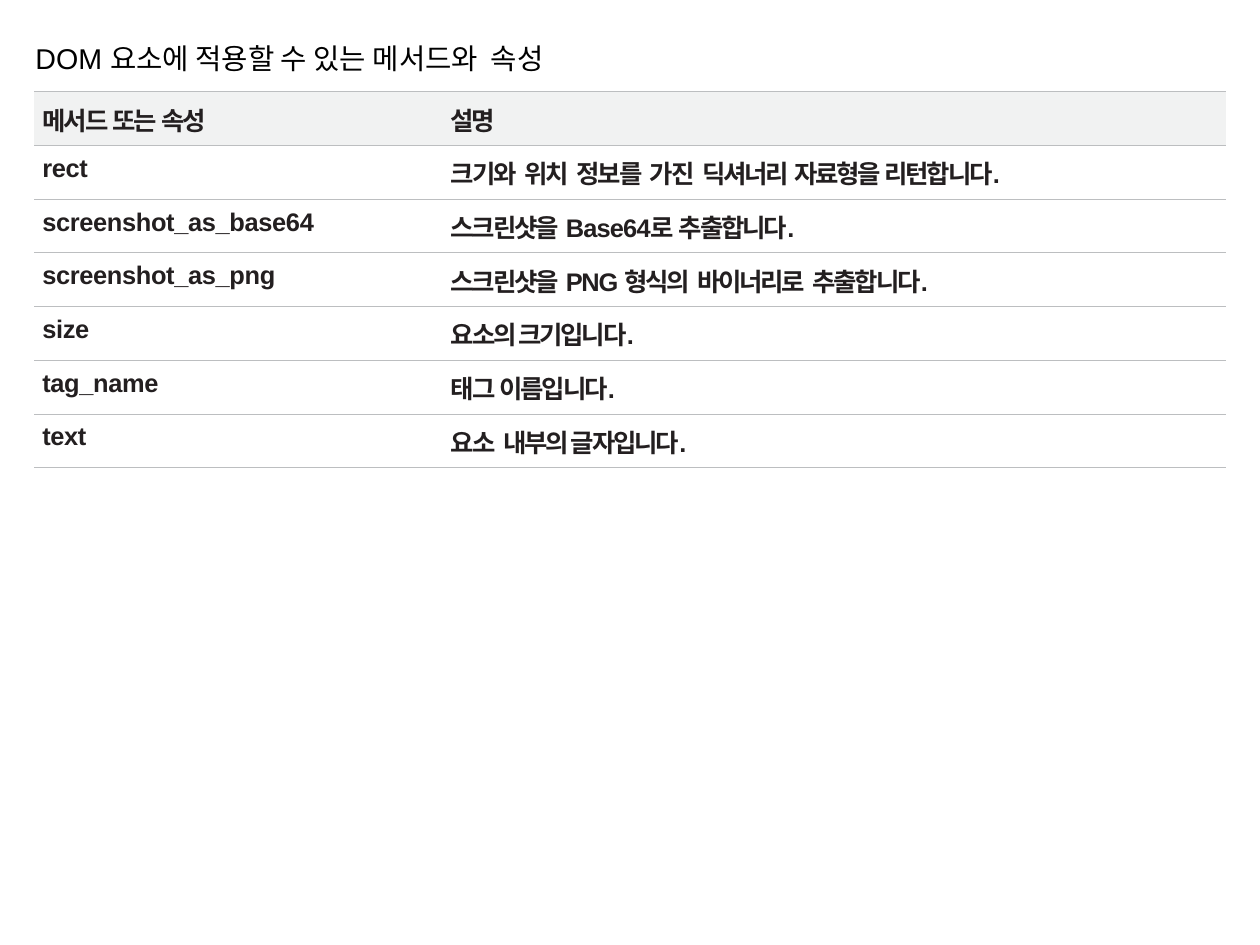
from dataclasses import dataclass

from lxml.etree import SubElement
from pptx import Presentation
from pptx.dml.color import RGBColor
from pptx.enum.text import MSO_ANCHOR, MSO_AUTO_SIZE, PP_ALIGN
from pptx.oxml.ns import qn
from pptx.util import Inches, Pt

TITLE = "DOM 요소에 적용할 수 있는 메서드와  속성"

# Each cell is a list of (text, letter spacing in points).
HEADER = (
    [("메서드 ", -1.2), ("또는 ", -1.1), ("속성", -1.4)],
    [("설명", -1.4)],
)
MEMBERS = {
    "rect": [("크기와  ", -1.3), ("위치  ", -1.2), ("정보를  ", -1.3), ("가진  ", -1.2),
             ("딕셔너리  자료형을 ", -1.4), ("리턴합니다.", -1.3)],
    "screenshot_as_base64": [("스크린샷을  ", -1.4), ("Base64로 ", -0.5), ("추출합니다.", -1.3)],
    "screenshot_as_png": [("스크린샷을  ", -1.4), ("PNG ", -0.8), ("형식의  ", -1.3),
                          ("바이너리로  ", -1.4), ("추출합니다.", -1.3)],
    "size": [("요소의 크기입니다.", -1.3)],
    "tag_name": [("태그 ", -1.2), ("이름입니다.", -1.3)],
    "text": [("요소  ", -1.2), ("내부의 글자입니다.", -1.3)],
}
NAME_SPACING = -0.2

LEFT, WIDTH = 0.3, 10.42
TITLE_TOP, TITLE_HEIGHT = 0.21, 0.4
TABLE_TOP, ROW_HEIGHT = 0.8, 0.47
COLUMN_WIDTHS = (3.36, 7.05)
COLUMN_INDENTS = (0.07, 0.28)


@dataclass(frozen=True)
class Theme:
    font: str = "Arial"
    title_size: int = 18
    table_size: int = 16
    title_color: str = "000000"
    text_color: str = "231F20"
    header_fill: str = "F1F2F2"
    rule_color: str = "BCBEC0"
    rule_width: float = 0.5


THEME = Theme()


def format_font(font, size, color, bold):
    for name, value in {"name": THEME.font, "size": Pt(size), "bold": bold}.items():
        setattr(font, name, value)
    font.color.rgb = RGBColor.from_string(color)


def set_frame(target, values):
    for name, value in values.items():
        setattr(target, name, value)


def add_title(slide):
    title = slide.shapes.title
    set_frame(title, {"left": Inches(LEFT), "top": Inches(TITLE_TOP),
                      "width": Inches(WIDTH), "height": Inches(TITLE_HEIGHT)})
    frame = title.text_frame
    set_frame(frame, {"margin_left": Inches(0.01), "margin_right": 0, "margin_top": 0,
                      "margin_bottom": 0, "vertical_anchor": MSO_ANCHOR.TOP,
                      "word_wrap": True, "auto_size": MSO_AUTO_SIZE.NONE})
    paragraph = frame.paragraphs[0]
    set_frame(paragraph, {"alignment": PP_ALIGN.JUSTIFY, "line_spacing": 1.5})
    run = paragraph.add_run()
    run.text = TITLE
    format_font(run.font, THEME.title_size, THEME.title_color, False)


def set_borders(cell):
    """Rule the top and bottom of a cell and leave its sides open."""
    properties = cell._tc.get_or_add_tcPr()
    for position, side in enumerate(("lnL", "lnR", "lnT", "lnB")):
        line = SubElement(properties, qn(f"a:{side}"))
        properties.insert(position, line)
        if side in ("lnT", "lnB"):
            line.set("w", str(Pt(THEME.rule_width)))
            fill = SubElement(line, qn("a:solidFill"))
            SubElement(fill, qn("a:srgbClr")).set("val", THEME.rule_color)
        else:
            SubElement(line, qn("a:noFill"))


def fill_cell(cell, pieces, indent, is_header):
    set_frame(cell, {"margin_left": Inches(indent), "margin_right": 0,
                     "margin_top": Inches(0.08), "margin_bottom": 0,
                     "vertical_anchor": MSO_ANCHOR.TOP})
    if is_header:
        cell.fill.solid()
        cell.fill.fore_color.rgb = RGBColor.from_string(THEME.header_fill)
    else:
        cell.fill.background()
    set_borders(cell)
    paragraph = cell.text_frame.paragraphs[0]
    paragraph.space_before = Pt(3)
    for text, spacing in pieces:
        run = paragraph.add_run()
        run.text = text
        format_font(run.font, THEME.table_size, THEME.text_color, True)
        run._r.get_or_add_rPr().set("spc", str(round(spacing * 100)))


def add_member_table(slide):
    rows = [HEADER] + [([(name, NAME_SPACING)], text) for name, text in MEMBERS.items()]
    table = slide.shapes.add_table(
        len(rows), len(COLUMN_WIDTHS), Inches(LEFT), Inches(TABLE_TOP),
        Inches(WIDTH), Inches(ROW_HEIGHT * len(rows))).table
    set_frame(table, {"first_row": False, "horz_banding": False})
    for column, width in zip(table.columns, COLUMN_WIDTHS):
        column.width = Inches(width)
    for row_index, row in enumerate(rows):
        for column_index, pieces in enumerate(row):
            fill_cell(table.cell(row_index, column_index), pieces,
                      COLUMN_INDENTS[column_index], row_index == 0)


def main():
    presentation = Presentation()
    presentation.slide_width = Inches(11.01)
    presentation.slide_height = Inches(8.26)
    slide = presentation.slides.add_slide(presentation.slide_layouts[5])
    add_title(slide)
    add_member_table(slide)
    presentation.save("out.pptx")


if __name__ == "__main__":
    main()
